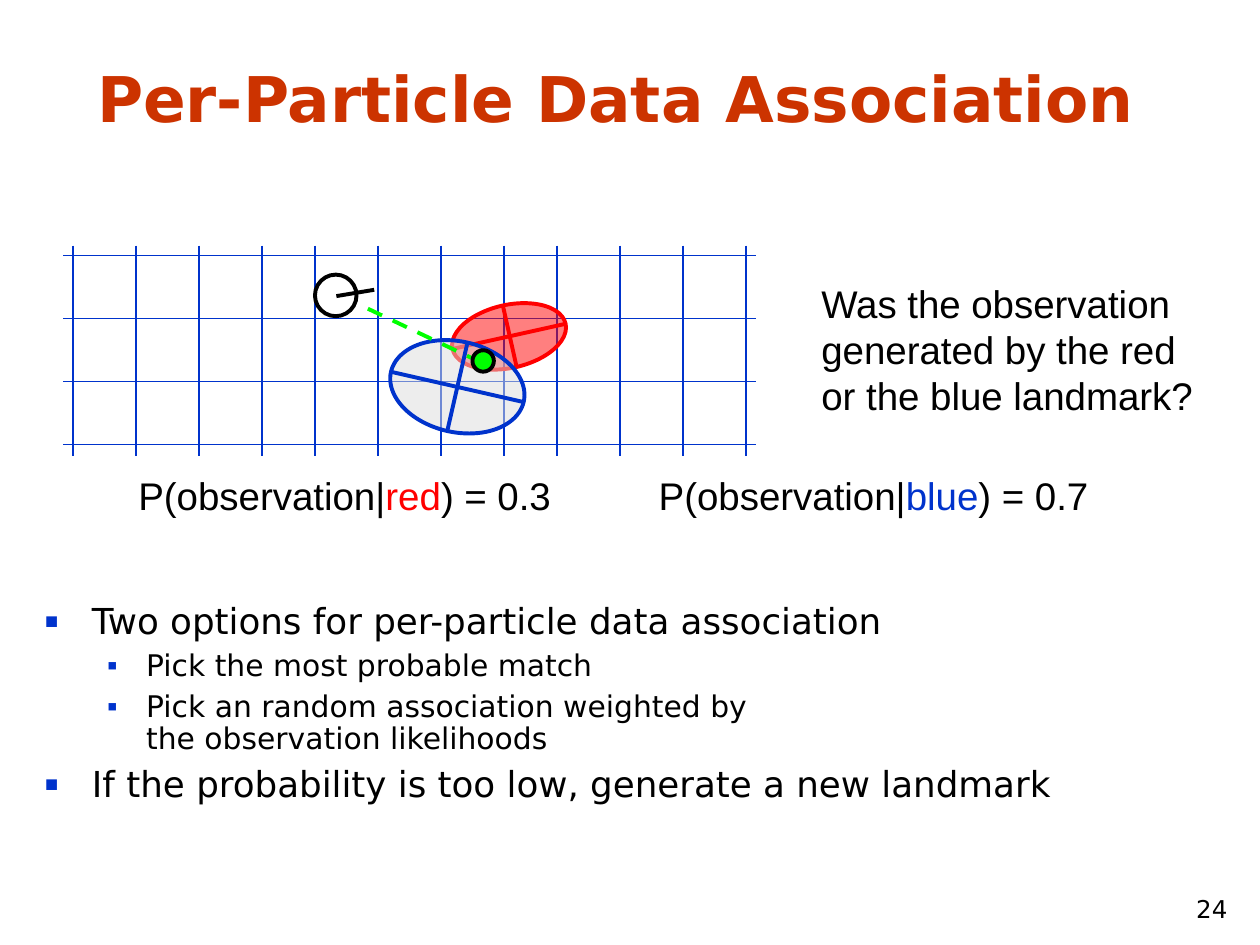
from itertools import product

from lxml.etree import SubElement
from pptx import Presentation
from pptx.dml.color import RGBColor
from pptx.enum.dml import MSO_LINE
from pptx.enum.shapes import MSO_CONNECTOR, MSO_SHAPE
from pptx.enum.text import MSO_ANCHOR, MSO_AUTO_SIZE, PP_ALIGN
from pptx.oxml.ns import qn
from pptx.util import Inches, Pt

BLUE, RED, GREEN, BLACK = "0033CC", "FF0000", "00FF00", "000000"
SANS = "DejaVu Sans"


def paint(color, code):
    """Set a colour format from a hex string."""
    color.rgb = RGBColor.from_string(code)


def style(font, size, name, code=None, bold=False):
    """Set size, face, weight and colour of a font."""
    font.size, font.name, font.bold = Pt(size), name, bold
    if code:
        paint(font.color, code)


def place(shape, box):
    """Move and size a shape in inches."""
    shape.left, shape.top, shape.width, shape.height = map(Inches, box)


def add_line(slide, start, end, code, width=2.25, dash=None):
    """Draw a straight line without a shadow."""
    line = slide.shapes.add_connector(
        MSO_CONNECTOR.STRAIGHT, *map(Inches, (*start, *end)))
    SubElement(line._element.spPr, qn("a:effectLst"))
    paint(line.line.color, code)
    line.line.width = Pt(width)
    if dash:
        line.line.dash_style = dash


def add_oval(slide, box, fill, edge, turn=0, alpha=None):
    """Draw an outlined ellipse, turned and see-through if asked."""
    oval = slide.shapes.add_shape(MSO_SHAPE.OVAL, *map(Inches, box))
    oval.shadow.inherit = False
    oval.rotation = turn
    oval.fill.solid()
    paint(oval.fill.fore_color, fill)
    paint(oval.line.color, edge)
    oval.line.width = Pt(2.25)
    if alpha:
        tint = oval._element.spPr.find(f"{qn('a:solidFill')}/{qn('a:srgbClr')}")
        SubElement(tint, qn("a:alpha"), val=str(alpha * 1000))


def add_text(slide, box, lines):
    """Write unwrapped lines, each a list of text and colour pairs."""
    shape = slide.shapes.add_textbox(*map(Inches, box))
    frame = shape.text_frame
    frame.word_wrap = False
    frame.auto_size = MSO_AUTO_SIZE.SHAPE_TO_FIT_TEXT
    for i, parts in enumerate(lines):
        para = frame.paragraphs[0] if i == 0 else frame.add_paragraph()
        style(para.font, 22, "Arial")
        for text, code in parts:
            run = para.add_run()
            run.text = text
            paint(run.font.color, code)


def add_bullet(para, size):
    """Give a paragraph a blue square bullet."""
    props = para._p.get_or_add_pPr()
    tint = SubElement(props, qn("a:buClr"))
    SubElement(tint, qn("a:srgbClr"), val=BLUE)
    SubElement(props, qn("a:buSzPct"), val=str(size * 1000))
    SubElement(props, qn("a:buFont"), typeface="Arial")
    SubElement(props, qn("a:buChar"), char="▪")


def fill_title(title, text):
    """Place and write the title."""
    place(title, (0.67, 0.42, 9.21, 0.7))
    frame = title.text_frame
    frame.auto_size = MSO_AUTO_SIZE.NONE
    frame.vertical_anchor = MSO_ANCHOR.BOTTOM
    para = frame.paragraphs[0]
    para.text, para.alignment = text, PP_ALIGN.LEFT
    style(para.font, 36, SANS, "CC3300", True)


def fill_list(body, items):
    """Place and write the two-level list."""
    place(body, (0.25, 4.74, 9.42, 1.92))
    frame = body.text_frame
    frame.auto_size = MSO_AUTO_SIZE.NONE
    looks = [(0.38, 0.38, 6, 120, 20.4), (0.81, 0.31, 5, 100, 17)]
    for i, (level, text) in enumerate(items):
        left, hang, gap, mark, size = looks[level]
        para = frame.paragraphs[0] if i == 0 else frame.add_paragraph()
        para.text, para.level = text, level
        para.line_spacing = 0.9
        para.space_before = Pt(gap if i else 0)
        props = para._p.get_or_add_pPr()
        props.set("marL", str(Inches(left)))
        props.set("indent", str(-Inches(hang)))
        add_bullet(para, mark)
        style(para.font, size, SANS, BLACK)


def add_grid(slide):
    """Draw the map grid, in three blocks of four columns."""
    for start, i in product((0.58, 2.5, 4.42), range(4)):
        x = start + 0.5 * i
        add_line(slide, (x, 1.95), (x, 3.62), BLUE, 0.75)
    for i in range(4):
        y = 2.03 + 0.5 * i
        add_line(slide, (0.5, y), (6, y), BLUE, 0.75)


def add_scene(slide):
    """Draw the landmarks, the robot and its observation."""
    add_oval(slide, (3.58, 2.42, 0.92, 0.5), RED, RED, 347.4, 50)
    add_line(slide, (3.59, 2.77), (4.49, 2.57), RED)
    add_line(slide, (3.99, 2.42), (4.1, 2.91), RED)
    add_oval(slide, (3.09, 2.71, 1.08, 0.72), "DDDDDD", BLUE, 12.6, 50)
    add_line(slide, (3.1, 2.95), (4.15, 3.19), BLUE)
    add_line(slide, (3.55, 3.42), (3.71, 2.72), BLUE)
    add_oval(slide, (2.5, 2.18, 0.33, 0.33), "FFFFFF", BLACK)
    add_line(slide, (2.67, 2.35), (2.97, 2.3), BLACK)
    add_line(slide, (2.92, 2.45), (3.74, 2.84), GREEN, dash=MSO_LINE.DASH)
    add_oval(slide, (3.75, 2.78, 0.17, 0.17), GREEN, BLACK)


def add_number(slide, text):
    """Write the page number."""
    box = slide.shapes.add_textbox(*map(Inches, (9.17, 6.88, 0.67, 0.5)))
    frame = box.text_frame
    frame.word_wrap = True
    frame.vertical_anchor = MSO_ANCHOR.BOTTOM
    para = frame.paragraphs[0]
    para.text, para.alignment = text, PP_ALIGN.RIGHT
    style(para.font, 14, SANS, BLACK)


def main():
    """Build and save the slide."""
    deck = Presentation()
    deck.slide_width, deck.slide_height = Inches(10), Inches(7.5)
    slide = deck.slides.add_slide(deck.slide_layouts[1])
    fill_title(slide.shapes.title, "Per-Particle Data Association")
    fill_list(slide.placeholders[1], [
        (0, "Two options for per-particle data association"),
        (1, "Pick the most probable match"),
        (1, "Pick an random association weighted by\vthe observation likelihoods"),
        (0, "If the probability is too low, generate a new landmark"),
    ])
    add_grid(slide)
    add_scene(slide)
    ask = ("Was the observation", "generated by the red", "or the blue landmark?")
    add_text(slide, (6.42, 2.17, 3.15, 1.2), [[(text, BLACK)] for text in ask])
    odds = [(1, 3.5, "red", RED, 0.3), (5.13, 3.64, "blue", BLUE, 0.7)]
    for left, width, name, code, odd in odds:
        parts = [("P(observation|", BLACK), (name, code), (f") = {odd}", BLACK)]
        add_text(slide, (left, 3.7, width, 0.47), [parts])
    add_number(slide, "24")
    deck.save("out.pptx")


if __name__ == "__main__":
    main()
